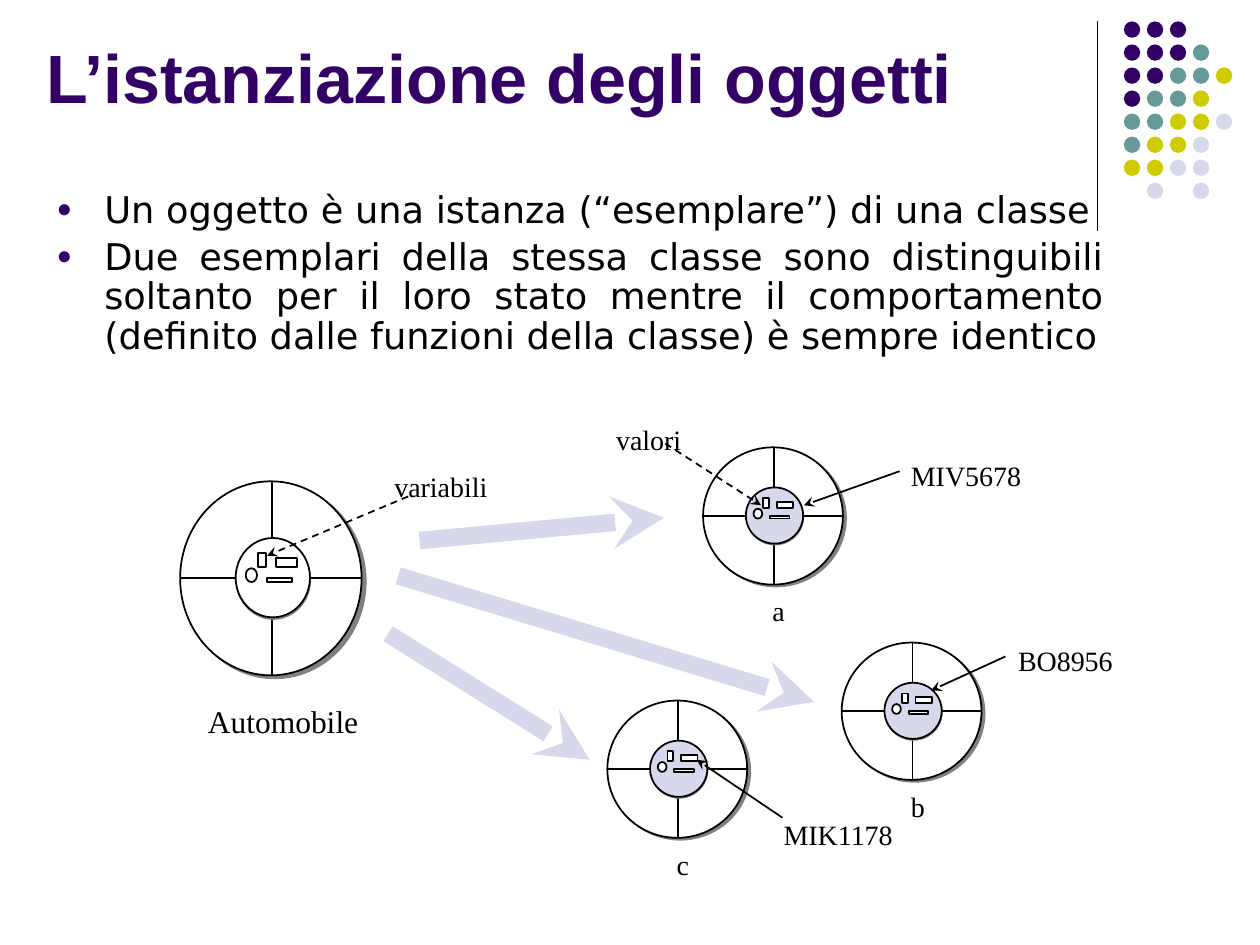
from lxml import etree
from pptx import Presentation
from pptx import util as u
from pptx.dml.color import RGBColor
from pptx.enum import dml, shapes, text
from pptx.oxml.ns import qn

INDIGO, TEAL, OLIVE, LAVENDER = "330066", "669999", "CCCC00", "D8D8EC"
BLACK, WHITE, GRAY = "000000", "FFFFFF", "808080"
SERIF = "Times New Roman"
OVAL, RECTANGLE = shapes.MSO_SHAPE.OVAL, shapes.MSO_SHAPE.RECTANGLE
DOT_COLORS = {"i": INDIGO, "t": TEAL, "o": OLIVE, "l": LAVENDER}
DOT_ROWS = ["iii", "iiit", "iitto", "itto", "ttool", "tool", "ooll", " l l"]
MEMBERS = [
    (RECTANGLE, 0.62, 0.57, 0.06, 0.11),
    (RECTANGLE, 0.76, 0.61, 0.17, 0.07),
    (OVAL, 0.52, 0.69, 0.09, 0.11),
    (RECTANGLE, 0.69, 0.77, 0.2, 0.03),
]
BULLETS = [
    "Un oggetto è una istanza (“esemplare”) di una classe",
    "Due esemplari della stessa classe sono distinguibili soltanto per il loro stato "
    "mentre il comportamento (definito dalle funzioni della classe) è sempre identico",
]


def color(value):
    return RGBColor.from_string(value)


def add_element(parent, tag, **attributes):
    return etree.SubElement(parent, qn(tag), attributes)


def add_figure(slide, kind, left, top, width, height, fill, outlined=True):
    shape = slide.shapes.add_shape(kind, *map(u.Inches, (left, top, width, height)))
    shape.shadow.inherit = False
    shape.fill.solid()
    shape.fill.fore_color.rgb = color(fill)
    if outlined:
        shape.line.color.rgb = color(BLACK)
        shape.line.width = u.Pt(1)
    else:
        shape.line.fill.background()


def add_line(slide, start, end, stroke=BLACK, width=1, arrow=False, dashed=False):
    line = slide.shapes.add_connector(
        shapes.MSO_CONNECTOR.STRAIGHT, *map(u.Inches, start + end))
    line.line.color.rgb = color(stroke)
    line.line.width = u.Pt(width)
    if dashed:
        line.line.dash_style = dml.MSO_LINE.DASH
    properties = line._element.spPr
    if arrow:
        add_element(properties.find(qn("a:ln")), "a:tailEnd", type="stealth")
    add_element(properties, "a:effectLst")


def style_font(font, name, size, fill, bold=False):
    font.name = name
    font.size = u.Pt(size)
    font.bold = bold
    font.color.rgb = color(fill)


def add_box(slide, left, top, width, height, wrap=True):
    box = slide.shapes.add_textbox(*map(u.Inches, (left, top, width, height)))
    box.text_frame.word_wrap = wrap
    return box.text_frame


def add_label(slide, words, left, top, width, height=0.38, size=16, wrap=True):
    frame = add_box(slide, left, top, width, height, wrap)
    frame.margin_left = frame.margin_right = u.Inches(0.11)
    frame.margin_top = frame.margin_bottom = u.Inches(0.06)
    frame.auto_size = text.MSO_AUTO_SIZE.SHAPE_TO_FIT_TEXT
    frame.text = words
    style_font(frame.paragraphs[0].runs[0].font, SERIF, size, BLACK)


def add_title(slide, words):
    frame = add_box(slide, 0.27, -0.27, 8.5, 1.25)
    frame.vertical_anchor = text.MSO_ANCHOR.BOTTOM
    frame.text = words
    style_font(frame.paragraphs[0].runs[0].font, "Arial", 39, INDIGO, True)


def add_bullets(slide, items):
    frame = add_box(slide, 0.35, 1.47, 8.51, 1.75)
    frame.text = "\n".join(items)
    for index, paragraph in enumerate(frame.paragraphs):
        paragraph.alignment = text.PP_ALIGN.JUSTIFY
        paragraph.line_spacing = 0.9
        paragraph.space_before = u.Pt(4.2 if index else 0)
        properties = paragraph._p.get_or_add_pPr()
        properties.set("marL", str(u.Inches(0.38)))
        properties.set("indent", str(u.Inches(-0.38)))
        add_element(add_element(properties, "a:buClr"), "a:srgbClr", val=INDIGO)
        add_element(properties, "a:buSzPct", val="70000")
        add_element(properties, "a:buFont", typeface="Arial")
        add_element(properties, "a:buChar", char="●")
        style_font(paragraph.runs[0].font, "DejaVu Sans", 21, BLACK)


def add_dots(slide):
    for row, codes in enumerate(DOT_ROWS):
        for column, code in enumerate(codes):
            if code in DOT_COLORS:
                add_figure(slide, OVAL, 8.92 + column * 0.73 / 4, 0.17 + row * 1.28 / 7,
                           0.13, 0.13, DOT_COLORS[code], False)


def add_wheel(slide, left, top, width, height, core):
    scale_x, scale_y = width / 1.44, height / 1.54

    def point(x, y):
        return left + x * scale_x, top + y * scale_y

    def part(kind, x, y, part_width, part_height, fill, outlined=True):
        add_figure(slide, kind, *point(x, y), part_width * scale_x,
                   part_height * scale_y, fill, outlined)

    part(OVAL, 0.02, 0.02, 1.46, 1.55, GRAY, False)
    part(OVAL, 0, 0, 1.44, 1.54, WHITE)
    add_line(slide, point(0, 0.77), point(1.44, 0.77))
    add_line(slide, point(0.73, 0), point(0.73, 1.54))
    part(OVAL, 0.44, 0.46, 0.6, 0.64, GRAY, False)
    part(OVAL, 0.44, 0.45, 0.59, 0.63, core)
    for kind, *place in MEMBERS:
        part(kind, *place, WHITE)


def main():
    presentation = Presentation()
    presentation.slide_width, presentation.slide_height = u.Inches(10), u.Inches(7.5)
    slide = presentation.slides.add_slide(presentation.slide_layouts[6])

    add_line(slide, (8.71, 0.17), (8.71, 1.83), width=0.75)
    add_dots(slide)

    add_wheel(slide, 1.43, 3.82, 1.44, 1.54, WHITE)
    for left, top in [(5.58, 3.55), (6.68, 5.1), (4.82, 5.56)]:
        add_wheel(slide, left, top, 1.11, 1.09, LAVENDER)

    add_label(slide, "MIV5678", 7.12, 3.58, 1.13)
    add_label(slide, "MIK1178", 6.11, 6.43, 1.1, wrap=False)
    add_label(slide, "BO8956", 7.97, 5.05, 1.05)
    add_label(slide, "Automobile", 1.54, 5.51, 1.71, 0.41, 18)
    for name, left, top in [("a", 6.02, 4.65), ("b", 7.12, 6.21), ("c", 5.26, 6.67)]:
        add_label(slide, name, left, top, 0.32, wrap=False)
    add_label(slide, "valori", 4.78, 3.29, 0.99)
    add_label(slide, "variabili", 3.02, 3.67, 0.99)

    for start, end in [((3.33, 4.29), (5.27, 4.11)), ((3.16, 4.57), (6.46, 5.57)),
                       ((3.08, 5.03), (4.68, 6.03))]:
        add_line(slide, start, end, LAVENDER, 10, arrow=True)
    for start, end in [((7.14, 3.74), (6.38, 4.01)), ((7.98, 5.21), (7.39, 5.48)),
                       ((6.21, 6.49), (5.53, 6.03))]:
        add_line(slide, start, end, arrow=True)
    for start, end in [((5.28, 3.52), (6.04, 4.01)), ((3.24, 3.94), (2.12, 4.41))]:
        add_line(slide, start, end, arrow=True, dashed=True)

    add_title(slide, "L’istanziazione degli oggetti")
    add_bullets(slide, BULLETS)
    presentation.save("out.pptx")


if __name__ == "__main__":
    main()
